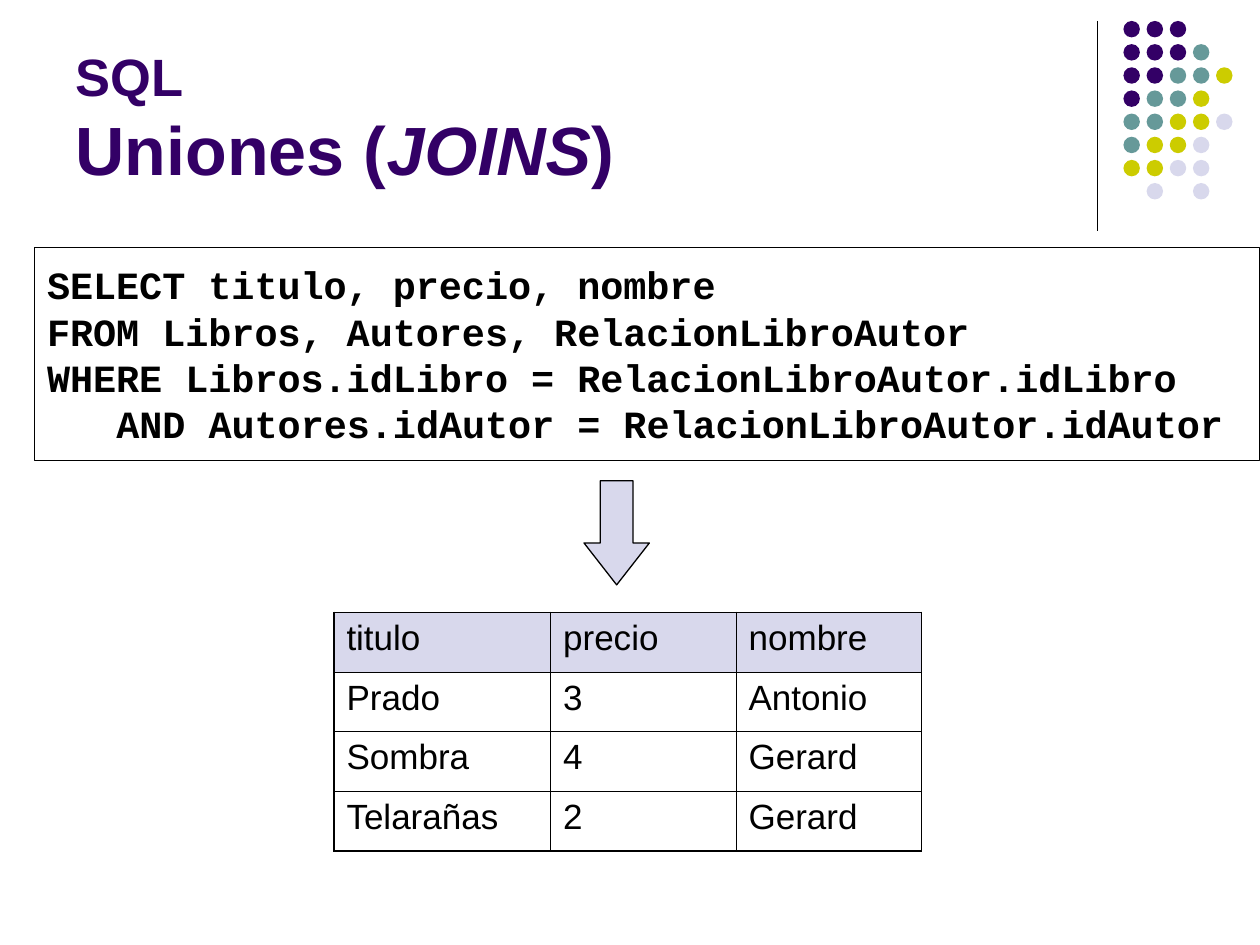
from pptx import Presentation
from pptx.dml.color import RGBColor
from pptx.enum.shapes import MSO_CONNECTOR as CONN, MSO_SHAPE as SHAPE
from pptx.enum.text import MSO_ANCHOR as ANCHOR, MSO_AUTO_SIZE as AUTO, PP_ALIGN as ALIGN
from pptx.oxml.ns import qn
from pptx.util import Pt
from lxml.etree import SubElement

COLORS = {"purple": "330066", "teal": "669999", "lime": "CCCC00",
          "lilac": "D8D8EC", "black": "000000", "white": "FFFFFF"}
DOT_COLORS = {"P": "purple", "T": "teal", "Y": "lime", "L": "lilac"}
DOT_ROWS = ["PPP", "PPPT", "PPTTY", "PTTY", "TTYYL", "TYYL", "YYLL", " L L"]

# Each code line with its indent in characters
QUERY = [("SELECT titulo, precio, nombre", 0),
         ("FROM Libros, Autores, RelacionLibroAutor", 0),
         ("WHERE Libros.idLibro = RelacionLibroAutor.idLibro", 0),
         ("AND Autores.idAutor = RelacionLibroAutor.idAutor", 3)]
RESULT = [("titulo", "precio", "nombre"),
          ("Prado", "3", "Antonio"),
          ("Sombra", "4", "Gerard"),
          ("Telarañas", "2", "Gerard")]


def rgb(name):
    return RGBColor.from_string(COLORS[name])


class Deck:
    """Style of the deck and the slide being filled."""
    font = "Arial"
    code_font = "Courier New"
    thin, thick, outline = 0.45, 1.08, 0.75

    def __init__(self, prs):
        self.s = prs.slides.add_slide(prs.slide_layouts[5])

    def style(self, font, size, color="black", bold=False, name=None):
        font.name, font.size, font.bold = name or self.font, Pt(size), bold
        font.color.rgb = rgb(color)

    def title(self, box, topic, parts):
        """Write a small topic line above a large line of (text, italic) parts."""
        sp = self.s.shapes.title
        sp.left, sp.top, sp.width, sp.height = map(Pt, box)
        tf = sp.text_frame
        tf.auto_size, tf.vertical_anchor, tf.word_wrap = AUTO.NONE, ANCHOR.BOTTOM, True
        p = tf.paragraphs[0]
        p.alignment = ALIGN.LEFT
        self.style(p.font, 30, "purple", bold=True)
        p.add_run().text = topic
        p.add_line_break()
        for text, italic in parts:
            r = p.add_run()
            r.text = text
            r.font.size, r.font.italic = Pt(39), italic

    def shape(self, kind, box, fill, outlined=True):
        sp = self.s.shapes.add_shape(kind, *map(Pt, box))
        sp.shadow.inherit = False
        sp.fill.solid()
        sp.fill.fore_color.rgb = rgb(fill)
        if outlined:
            sp.line.color.rgb = rgb("black")
            sp.line.width = Pt(self.outline)
        else:
            sp.line.fill.background()
        return sp

    def rule(self, x, top, bottom):
        line = self.s.shapes.add_connector(CONN.STRAIGHT, Pt(x), Pt(top), Pt(x), Pt(bottom))
        line.line.color.rgb = rgb("black")
        line.line.width = Pt(self.outline)
        SubElement(line._element.spPr, qn("a:effectLst"))

    def dots(self, left, top, pitch=13.23, size=9.4):
        for i, row in enumerate(DOT_ROWS):
            for j, code in enumerate(row):
                if code in DOT_COLORS:
                    box = (left + j * pitch, top + i * pitch, size, size)
                    self.shape(SHAPE.OVAL, box, DOT_COLORS[code], outlined=False)

    def code(self, box, lines, size=22):
        tf = self.shape(SHAPE.RECTANGLE, box, "white").text_frame
        tf.word_wrap, tf.vertical_anchor = True, ANCHOR.MIDDLE
        for i, (text, indent) in enumerate(lines):
            p = tf.add_paragraph() if i else tf.paragraphs[0]
            p.text, p.alignment = text, ALIGN.LEFT
            self.style(p.font, size, bold=True, name=self.code_font)
            if indent:  # a Courier character is 0.6 em wide
                p._p.get_or_add_pPr().set("marL", str(Pt(indent * 0.6 * size)))

    def borders(self, cell, widths):
        """Draw the left, right, top and bottom borders of a cell."""
        tcPr = cell._tc.get_or_add_tcPr()
        for i, (side, width) in enumerate(zip("LRTB", widths)):
            ln = tcPr.makeelement(qn(f"a:ln{side}"), {"w": str(Pt(width))})
            fill = SubElement(ln, qn("a:solidFill"))
            SubElement(fill, qn("a:srgbClr"), val=COLORS["black"])
            tcPr.insert(i, ln)

    def table(self, left, top, col_widths, row_height, rows):
        n, m = len(rows), len(col_widths)
        size = (sum(col_widths), n * row_height)
        tbl = self.s.shapes.add_table(n, m, *map(Pt, (left, top, *size))).table
        for col, width in zip(tbl.columns, col_widths):
            col.width = Pt(width)
        for i, row in enumerate(rows):
            tbl.rows[i].height = Pt(row_height)
            for j, text in enumerate(row):
                cell = tbl.cell(i, j)
                cell.text = text
                cell.fill.solid()
                cell.fill.fore_color.rgb = rgb("white" if i else "lilac")
                p = cell.text_frame.paragraphs[0]
                p.space_before = Pt(5)
                self.style(p.font, 20)
                outer = (j == 0, j == m - 1, i == 0, i == n - 1)
                self.borders(cell, [self.thick if o else self.thin for o in outer])


def main():
    prs = Presentation()
    prs.slide_width, prs.slide_height = Pt(720), Pt(540)
    deck = Deck(prs)
    deck.rule(627, 12, 132)
    deck.dots(642, 12)
    deck.title((36, 9.8, 594, 102), "SQL",
               [("Uniones (", False), ("JOINS", True), (")", False)])
    deck.code((19.8, 141.3, 700, 121.7), QUERY)
    arrow = deck.shape(SHAPE.DOWN_ARROW, (333.7, 274.7, 37.4, 59.5), "lilac")
    arrow.adjustments[0], arrow.adjustments[1] = 0.5, 0.64
    deck.table(190.8, 350, [123.8, 106, 106], 34.1, RESULT)
    prs.save("out.pptx")


if __name__ == "__main__":
    main()
